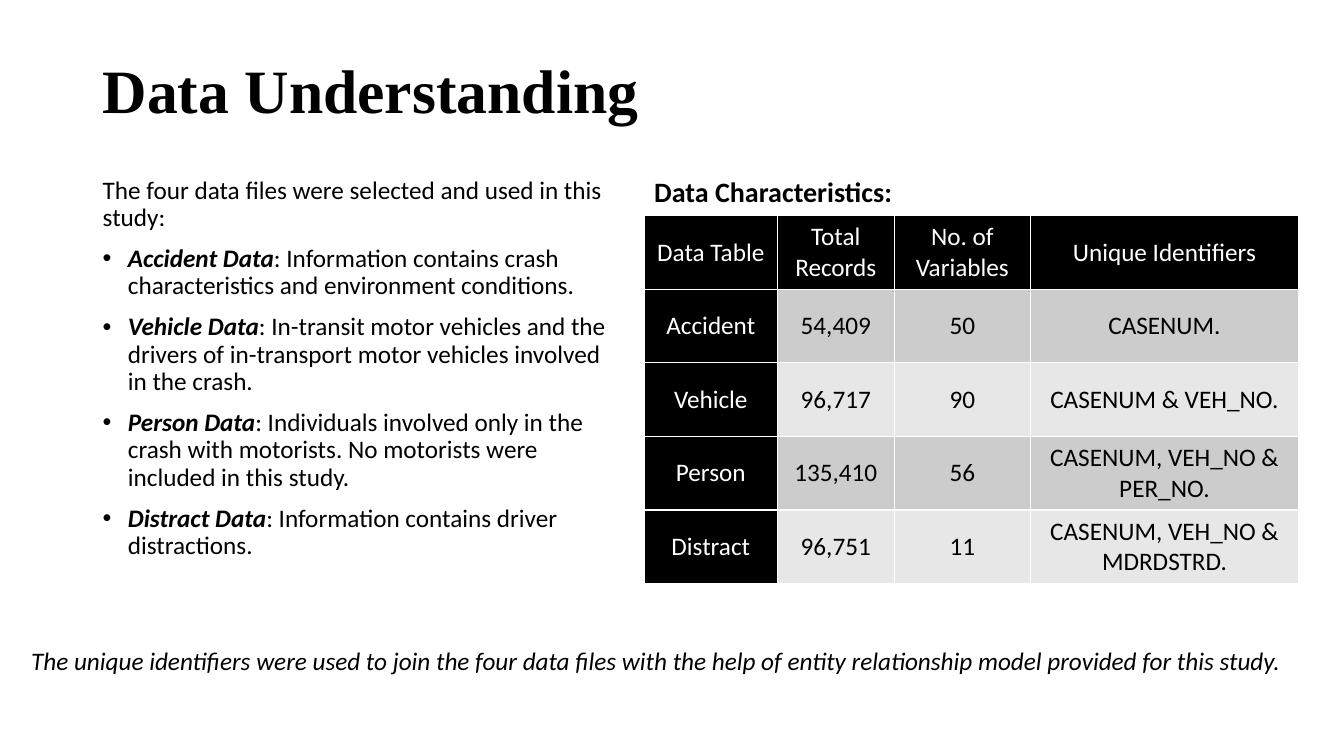
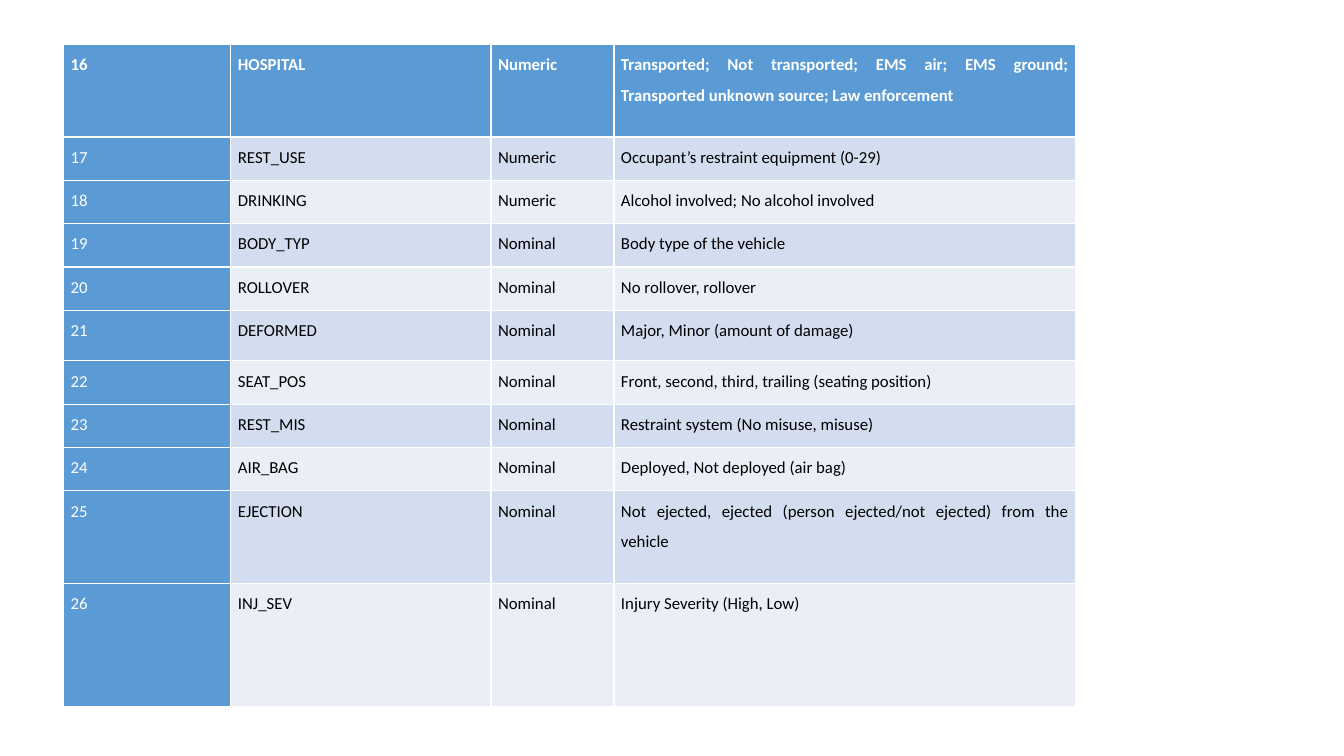
from lxml import etree
from pptx import Presentation, util as u
from pptx.dml.color import RGBColor
from pptx.enum import text as t
from pptx.oxml.ns import qn

BLACK, WHITE = RGBColor(0, 0, 0), RGBColor(255, 255, 255)
GREYS = RGBColor(0xCC, 0xCC, 0xCC), RGBColor(0xE7, 0xE7, 0xE7)
BLUE = RGBColor(0x5B, 0x9B, 0xD5)
PALE_BLUES = RGBColor(0xD2, 0xDE, 0xEF), RGBColor(0xEA, 0xEF, 0xF7)
BODY_FONT, TITLE_FONT = "Calibri", "Times New Roman"
LEFT, CENTER, JUSTIFY = t.PP_ALIGN.LEFT, t.PP_ALIGN.CENTER, t.PP_ALIGN.JUSTIFY

TITLE = "Data Understanding"
INTRO = "The four data files were selected and used in this study:"
DATA_FILES = [
    ("Accident Data", "Information contains crash characteristics and environment conditions."),
    ("Vehicle Data", "In-transit motor vehicles and the drivers of in-transport motor vehicles "
                     "involved in the crash."),
    ("Person Data", "Individuals involved only in the crash with motorists. No motorists were "
                    "included in this study."),
    ("Distract Data", "Information contains driver distractions."),
]
TABLE_HEADING = "Data Characteristics:"
CHARACTERISTICS = [
    ("Data Table", "Total Records", "No. of Variables", "Unique Identifiers"),
    ("Accident", "54,409", "50", "CASENUM."),
    ("Vehicle", "96,717", "90", "CASENUM & VEH_NO."),
    ("Person", "135,410", "56", "CASENUM, VEH_NO & PER_NO."),
    ("Distract", "96,751", "11", "CASENUM, VEH_NO & MDRDSTRD."),
]
JOIN_NOTE = ("The unique identifiers were used to join the four data files with the help of "
             "entity relationship model provided for this study.")
FIRST_NUMBER = 16
VARIABLES = [
    ("HOSPITAL", "Numeric", "Transported; Not transported; EMS air; EMS ground; "
                            "Transported unknown source; Law enforcement"),
    ("REST_USE", "Numeric", "Occupant’s restraint equipment (0-29)"),
    ("DRINKING", "Numeric", "Alcohol involved; No alcohol involved"),
    ("BODY_TYP", "Nominal", "Body type of the vehicle"),
    ("ROLLOVER", "Nominal", "No rollover, rollover"),
    ("DEFORMED", "Nominal", "Major, Minor (amount of damage)"),
    ("SEAT_POS", "Nominal", "Front, second, third, trailing (seating position)"),
    ("REST_MIS", "Nominal", "Restraint system (No misuse, misuse)"),
    ("AIR_BAG", "Nominal", "Deployed, Not deployed (air bag)"),
    ("EJECTION", "Nominal", "Not ejected, ejected (person ejected/not ejected) from the vehicle"),
    ("INJ_SEV", "Nominal", "Injury Severity (High, Low)"),
]
ROW = 0.43
ROW_HEIGHTS = {"HOSPITAL": 0.92, "DEFORMED": 0.5, "EJECTION": 0.92, "INJ_SEV": 1.22}


def add_run(paragraph, words, size, color=BLACK, name=BODY_FONT, bold=False, italic=False):
    font = paragraph.add_run()
    font.text = words
    font = font.font
    for key, value in dict(size=u.Pt(size), name=name, bold=bold, italic=italic).items():
        setattr(font, key, value)
    font.color.rgb = color


def add_frame(slide, left, top, width, height, wrap=True, anchor=t.MSO_ANCHOR.TOP):
    box = slide.shapes.add_textbox(*map(u.Inches, (left, top, width, height)))
    frame = box.text_frame
    frame.word_wrap, frame.vertical_anchor = wrap, anchor
    return frame


def bullet(paragraph):
    props = paragraph._p.get_or_add_pPr()
    props.set("marL", str(u.Inches(0.25)))
    props.set("indent", str(-u.Inches(0.25)))
    etree.SubElement(props, qn("a:buFont"), typeface="Arial")
    etree.SubElement(props, qn("a:buChar"), char="•")


def add_borders(cell):
    props = cell._tc.get_or_add_tcPr()
    for side in ("a:lnL", "a:lnR", "a:lnT", "a:lnB"):
        line = etree.SubElement(props, qn(side), w=str(u.Pt(1)))
        fill = etree.SubElement(line, qn("a:solidFill"))
        etree.SubElement(fill, qn("a:srgbClr"), val=str(WHITE))


def add_grid(slide, left, top, widths, heights, rows, accent, bands, size, aligns,
             anchor=t.MSO_ANCHOR.TOP, spacing=1.0, bold_head=False):
    """Table with an accent first row and column, and two alternating body fills."""
    box = map(u.Inches, (left, top, sum(widths), sum(heights)))
    table = slide.shapes.add_table(len(rows), len(widths), *box).table
    table.first_row = table.horz_banding = False
    for column, width in zip(table.columns, widths):
        column.width = u.Inches(width)
    for r, (row, height) in enumerate(zip(rows, heights)):
        table.rows[r].height = u.Inches(height)
        for c, words in enumerate(row):
            cell = table.cell(r, c)
            is_accent = r == 0 or c == 0
            add_borders(cell)
            cell.fill.solid()
            cell.fill.fore_color.rgb = accent if is_accent else bands[(r - 1) % 2]
            layout = dict(margin_left=u.Inches(0.07), margin_right=u.Inches(0.07),
                          margin_top=0, margin_bottom=0, vertical_anchor=anchor)
            for key, value in layout.items():
                setattr(cell, key, value)
            paragraph = cell.text_frame.paragraphs[0]
            paragraph.alignment, paragraph.line_spacing = aligns[c], spacing
            add_run(paragraph, words, size, WHITE if is_accent else BLACK,
                    bold=bold_head and r == 0)


def build_understanding(slide):
    title = add_frame(slide, 0.92, 0.56, 11.5, 0.74, anchor=t.MSO_ANCHOR.MIDDLE).paragraphs[0]
    title.line_spacing = 0.9
    add_run(title, TITLE, 44, name=TITLE_FONT, bold=True)

    files = add_frame(slide, 0.92, 1.71, 5.32, 5.04)
    add_run(files.paragraphs[0], INTRO, 18)
    for name, detail in DATA_FILES:
        item = files.add_paragraph()
        bullet(item)
        add_run(item, name, 18, bold=True, italic=True)
        add_run(item, ": " + detail, 18)
    for paragraph in files.paragraphs:
        paragraph.line_spacing, paragraph.space_before = 0.9, u.Pt(10)

    add_grid(slide, 6.39, 2.14, (1.32, 1.16, 1.35, 2.66), [0.73] * len(CHARACTERISTICS),
             CHARACTERISTICS, BLACK, GREYS, 18, [CENTER] * 4, anchor=t.MSO_ANCHOR.MIDDLE)
    heading = add_frame(slide, 6.39, 1.68, 2.58, 0.44, wrap=False)
    add_run(heading.paragraphs[0], TABLE_HEADING, 20, bold=True)
    note = add_frame(slide, 0.21, 6.35, 12.91, 0.4, wrap=False)
    add_run(note.paragraphs[0], JOIN_NOTE, 18, italic=True)


def build_variables(slide):
    rows = [(str(number), *variable) for number, variable in enumerate(VARIABLES, FIRST_NUMBER)]
    heights = [ROW_HEIGHTS.get(name, ROW) for name, *_ in VARIABLES]
    add_grid(slide, 0.63, 0.44, (1.66, 2.58, 1.22, 4.58), heights, rows, BLUE, PALE_BLUES, 12,
             [LEFT] + [JUSTIFY] * 3, spacing=1.5, bold_head=True)


def main():
    deck = Presentation()
    deck.slide_width, deck.slide_height = u.Inches(13.33), u.Inches(7.5)
    for build in (build_understanding, build_variables):
        build(deck.slides.add_slide(deck.slide_layouts[6]))
    deck.save("out.pptx")


if __name__ == "__main__":
    main()
